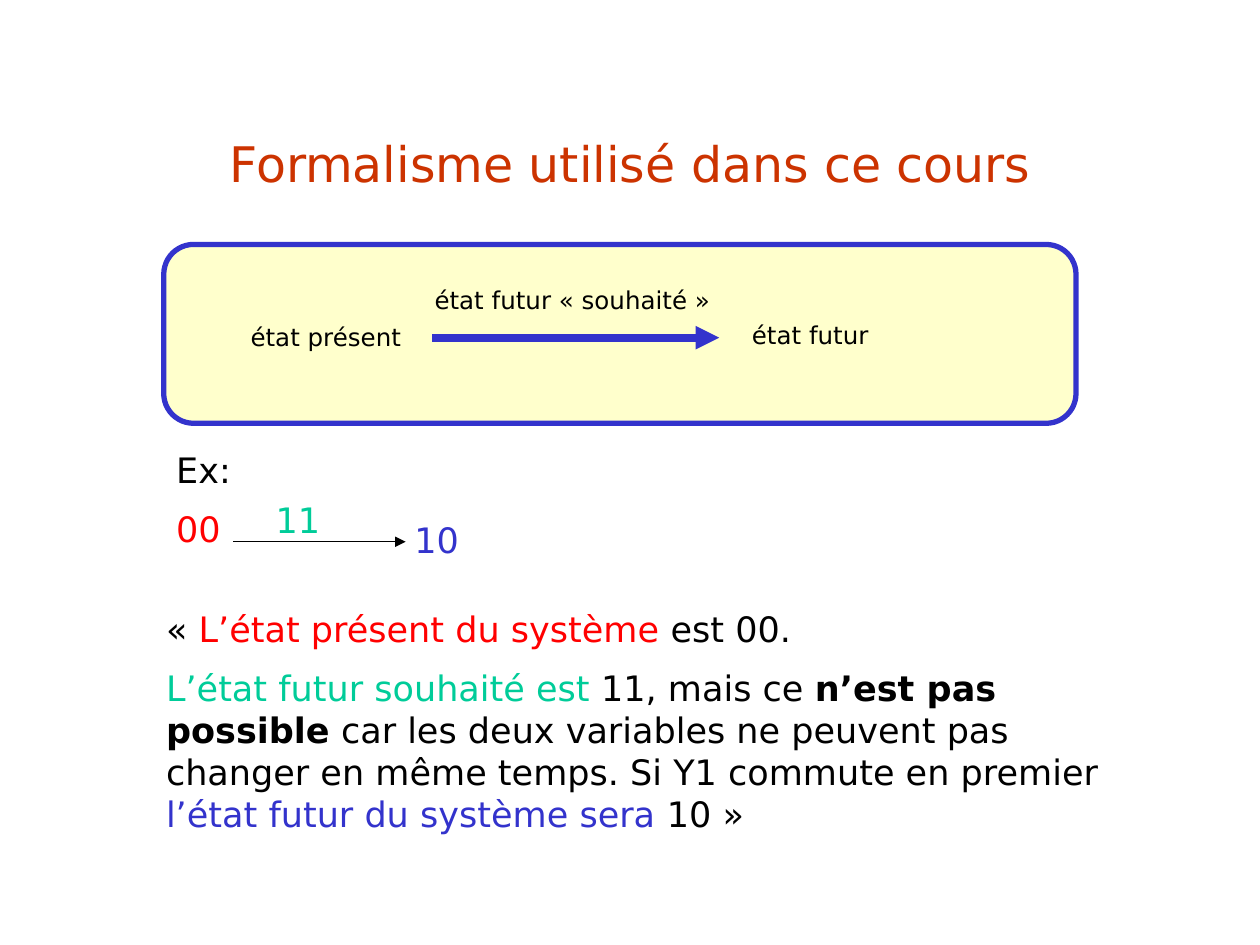
from dataclasses import dataclass

from lxml import etree
from pptx import Presentation
from pptx.dml.color import RGBColor
from pptx.enum import shapes, text
from pptx.oxml import ns
from pptx.util import Pt


@dataclass(frozen=True)
class Theme:
    font: str = "DejaVu Sans"
    title: str = "CC3300"
    ink: str = "000000"
    panel: str = "FFFFCC"
    present: str = "FF0000"
    wished: str = "00CC99"
    future: str = "3333CC"
    title_size: int = 28
    body_size: int = 20
    label_size: int = 14
    paragraph_gap: int = 10


THEME = Theme()


def rgb(color):
    return RGBColor.from_string(color)


def add_text(slide, paragraphs, left, top, width, height, size=THEME.body_size,
             align=text.PP_ALIGN.LEFT, anchor=text.MSO_ANCHOR.TOP):
    box = slide.shapes.add_textbox(Pt(left), Pt(top), Pt(width), Pt(height))
    frame = box.text_frame
    frame.word_wrap = True
    frame.vertical_anchor = anchor
    for index, pieces in enumerate(paragraphs):
        paragraph = frame.add_paragraph() if index else frame.paragraphs[0]
        paragraph.alignment = align
        paragraph.space_before = Pt(THEME.paragraph_gap if index else 0)
        for words, color, *bold in pieces:
            run = paragraph.add_run()
            run.text = words
            run.font.name = THEME.font
            run.font.size = Pt(size)
            run.font.bold = bool(bold)
            run.font.color.rgb = rgb(color)


def add_panel(slide, left, top, width, height):
    panel = slide.shapes.add_shape(shapes.MSO_SHAPE.ROUNDED_RECTANGLE,
                                   Pt(left), Pt(top), Pt(width), Pt(height))
    panel.shadow.inherit = False
    panel.fill.solid()
    panel.fill.fore_color.rgb = rgb(THEME.panel)
    panel.line.color.rgb = rgb(THEME.future)
    panel.line.width = Pt(3)


def add_arrow(slide, start, end, y, color, weight):
    arrow = slide.shapes.add_connector(shapes.MSO_CONNECTOR.STRAIGHT,
                                       Pt(start), Pt(y), Pt(end), Pt(y))
    arrow.line.color.rgb = rgb(color)
    arrow.line.width = Pt(weight)
    etree.SubElement(arrow.line._get_or_add_ln(), ns.qn("a:tailEnd"), type="triangle")
    etree.SubElement(arrow._element.spPr, ns.qn("a:effectLst"))


def add_formalism(slide):
    add_panel(slide, 93.6, 139.7, 521.3, 102.2)
    add_arrow(slide, 247, 411, 193, THEME.future, 4.5)
    for label, left, top, width in (
        ("état futur « souhaité »", 241.2, 159.1, 195.8),
        ("état futur", 422.6, 179.3, 221),
        ("état présent", 136.1, 180.7, 108),
    ):
        add_text(slide, [[(label, THEME.ink)]], left, top, width, 24,
                 size=THEME.label_size)


def add_example(slide):
    add_text(slide, [[("Ex:", THEME.ink)], [("00", THEME.present)]],
             93.6, 252.7, 123, 67)
    add_arrow(slide, 133.2, 231.8, 309.6, THEME.ink, 0.75)
    add_text(slide, [[("11", THEME.wished)]], 150.5, 281.5, 61, 31)
    add_text(slide, [[("10", THEME.future)]], 229.7, 293, 61, 31)


def add_explanation(slide):
    present = [
        ("« ", THEME.ink),
        ("L’état présent du système ", THEME.present),
        ("est 00.", THEME.ink),
    ]
    future = [
        ("L’état futur souhaité est", THEME.wished),
        (" 11, mais ce ", THEME.ink),
        ("n’est pas possible", THEME.ink, True),
        (" car les deux variables ne peuvent pas changer en même temps. "
         "Si Y1 commute en premier ", THEME.ink),
        ("l’état futur du système sera ", THEME.future),
        ("10 »", THEME.ink),
    ]
    add_text(slide, [present, future], 87.8, 343.4, 567.4, 140.4)


def main():
    deck = Presentation()
    deck.slide_width, deck.slide_height = Pt(720), Pt(540)
    slide = deck.slides.add_slide(deck.slide_layouts[6])
    add_formalism(slide)
    add_text(slide, [[("Formalisme utilisé dans ce cours", THEME.title)]],
             54, 48, 612, 90, size=THEME.title_size,
             align=text.PP_ALIGN.CENTER, anchor=text.MSO_ANCHOR.MIDDLE)
    add_example(slide)
    add_explanation(slide)
    deck.save("out.pptx")


if __name__ == "__main__":
    main()
